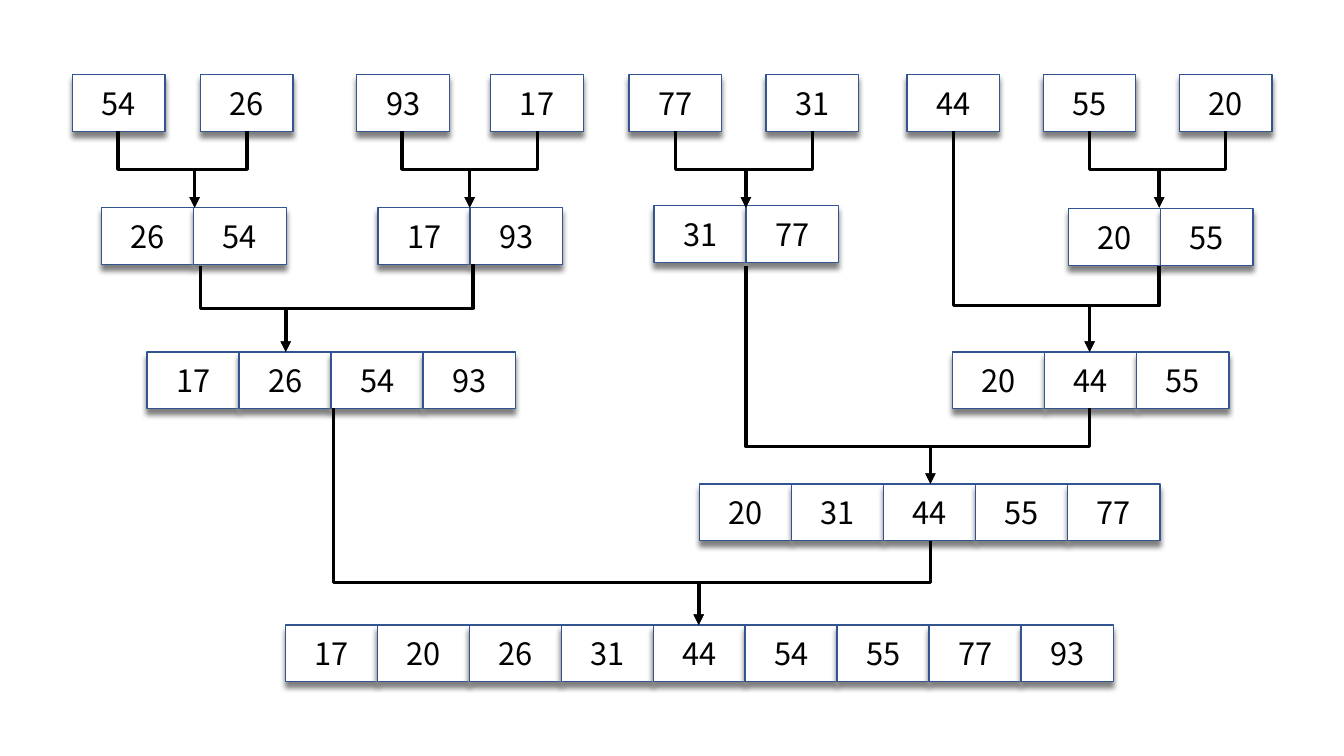
from dataclasses import dataclass

from lxml.etree import SubElement
from pptx import Presentation
from pptx.dml.color import RGBColor
from pptx.enum.shapes import MSO_CONNECTOR as CONN, MSO_SHAPE as SHAPE
from pptx.enum.text import MSO_ANCHOR as ANCHOR, PP_ALIGN as ALIGN
from pptx.oxml.ns import qn
from pptx.util import Pt


@dataclass(frozen=True)
class Theme:
    font: str = "Noto Sans CJK KR"
    size: float = 22
    text: str = "000000"
    fill: str = "FFFFFF"
    border: str = "325491"
    shadow: str = "808080"
    arrow: str = "000000"
    border_width: float = 1
    arrow_width: float = 2.5
    shadow_offset: float = 4


THEME = Theme()
CELL_W, CELL_H, PITCH = 66.1, 40.5, 65.7

UNSORTED = [
    (54, 0), (26, 91.4), (93, 203), (17, 298.7), (77, 397.4),
    (31, 495.3), (44, 596.1), (55, 693.3), (20, 790.5),
]
MERGED = [
    ((26, 54), 20.8, 95),
    ((17, 93), 218.1, 95),
    ((31, 77), 415.4, 93.6),
    ((20, 55), 711.3, 95.7),
    ((17, 26, 54, 93), 53.2, 198),
    ((20, 44, 55), 628.5, 198),
    ((20, 31, 44, 55, 77), 447.8, 292.3),
    ((17, 20, 26, 31, 44, 54, 55, 77, 93), 151.9, 393.1),
]
FIRST_JOINS = [
    (32.3, 124.5, 87.1), (235.4, 331.9, 283.6),
    (430.5, 528.4, 480.9), (726.4, 823.6, 776.1),
]
LATER_JOINS = [
    ([(629.2, 40.3), (776.1, 136.8)], (726.4, 198), 164.9),
    ([(480.9, 136.8), (726.4, 238.3)], (612.7, 292.3), 265.7),
    ([(91.4, 136.8), (285.8, 135.3)], (152.2, 198), 167),
    ([(186.4, 238.3), (612.7, 333.3)], (447.2, 393.1), 362.9),
]


def rgb(value):
    return RGBColor.from_string(value)


def add_shadow(sp):
    sp.shadow.inherit = False
    effects = sp.element.spPr.find(qn("a:effectLst"))
    offset = str(Pt(THEME.shadow_offset))
    shadow = SubElement(effects, qn("a:outerShdw"), blurRad=offset, dist=offset,
                        dir="5400000", algn="t", rotWithShape="0")
    SubElement(shadow, qn("a:srgbClr"), val=THEME.shadow)


def draw_cell(shapes, left, top, value):
    sp = shapes.add_shape(SHAPE.RECTANGLE, Pt(left), Pt(top), Pt(CELL_W), Pt(CELL_H))
    sp.fill.solid()
    sp.fill.fore_color.rgb = rgb(THEME.fill)
    sp.line.color.rgb = rgb(THEME.border)
    sp.line.width = Pt(THEME.border_width)
    add_shadow(sp)
    tf = sp.text_frame
    tf.vertical_anchor = ANCHOR.MIDDLE
    p = tf.paragraphs[0]
    p.text = str(value)
    p.alignment = ALIGN.CENTER
    p.font.name = THEME.font
    p.font.size = Pt(THEME.size)
    p.font.color.rgb = rgb(THEME.text)


def draw_run(shapes, left, top, values):
    group = shapes.add_group_shape()
    for i, value in enumerate(values):
        draw_cell(group.shapes, left + i * PITCH, top, value)


def draw_arrow(shapes, start, end, bus):
    (x1, y1), (x2, y2) = start, end
    mid_x, mid_y = (x1 + x2) / 2, (y1 + y2) / 2
    half_w, half_h = (y2 - y1) / 2, abs(x2 - x1) / 2
    cxn = shapes.add_connector(CONN.ELBOW, Pt(mid_x - half_w), Pt(mid_y - half_h),
                               Pt(mid_x + half_w), Pt(mid_y + half_h))
    cxn.line.color.rgb = rgb(THEME.arrow)
    cxn.line.width = Pt(THEME.arrow_width)
    props = cxn.element.spPr
    xfrm = props.find(qn("a:xfrm"))
    if x2 > x1:
        xfrm.set("rot", "16200000")
        xfrm.set("flipH", "1")
    else:
        xfrm.set("rot", "5400000")
    bend = round((bus - y1) / (y2 - y1) * 100000)
    guides = props.find(qn("a:prstGeom")).find(qn("a:avLst"))
    SubElement(guides, qn("a:gd"), name="adj1", fmla=f"val {bend}")
    SubElement(props.find(qn("a:ln")), qn("a:tailEnd"), type="triangle")
    SubElement(props, qn("a:effectLst"))


def draw_merge_tree(slide, left, top):
    shapes = slide.shapes
    for value, x in UNSORTED:
        draw_cell(shapes, left + x, top, value)
    for values, x, y in MERGED:
        draw_run(shapes, left + x, top + y, values)
    joins = [([(a, 40.3), (b, 40.3)], (x, 95), 67.7) for a, b, x in FIRST_JOINS]
    for sources, (x, y), bus in joins + LATER_JOINS:
        for sx, sy in sources:
            draw_arrow(shapes, (left + sx, top + sy), (left + x, top + y), top + bus)


prs = Presentation()
prs.slide_width, prs.slide_height = Pt(960), Pt(540)
s = prs.slides.add_slide(prs.slide_layouts[6])
draw_merge_tree(s, 51.9, 53.3)
prs.save("out.pptx")
